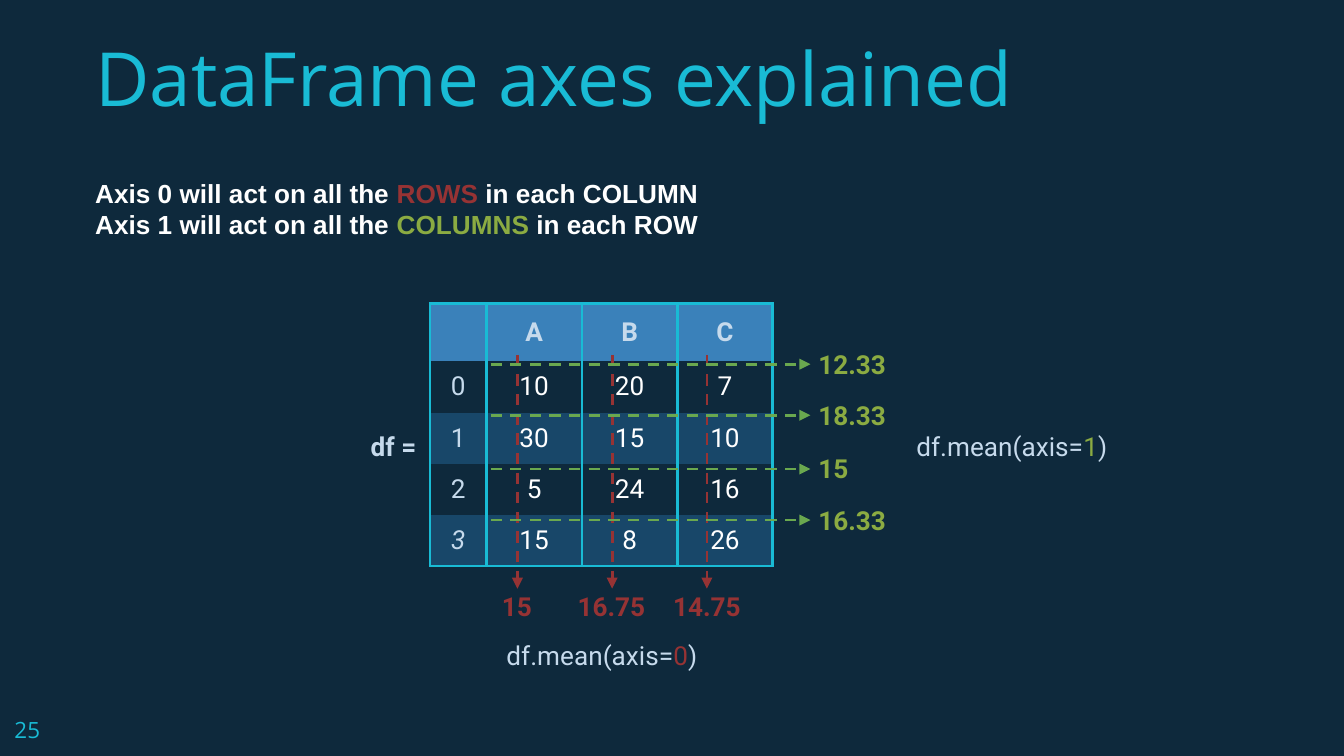
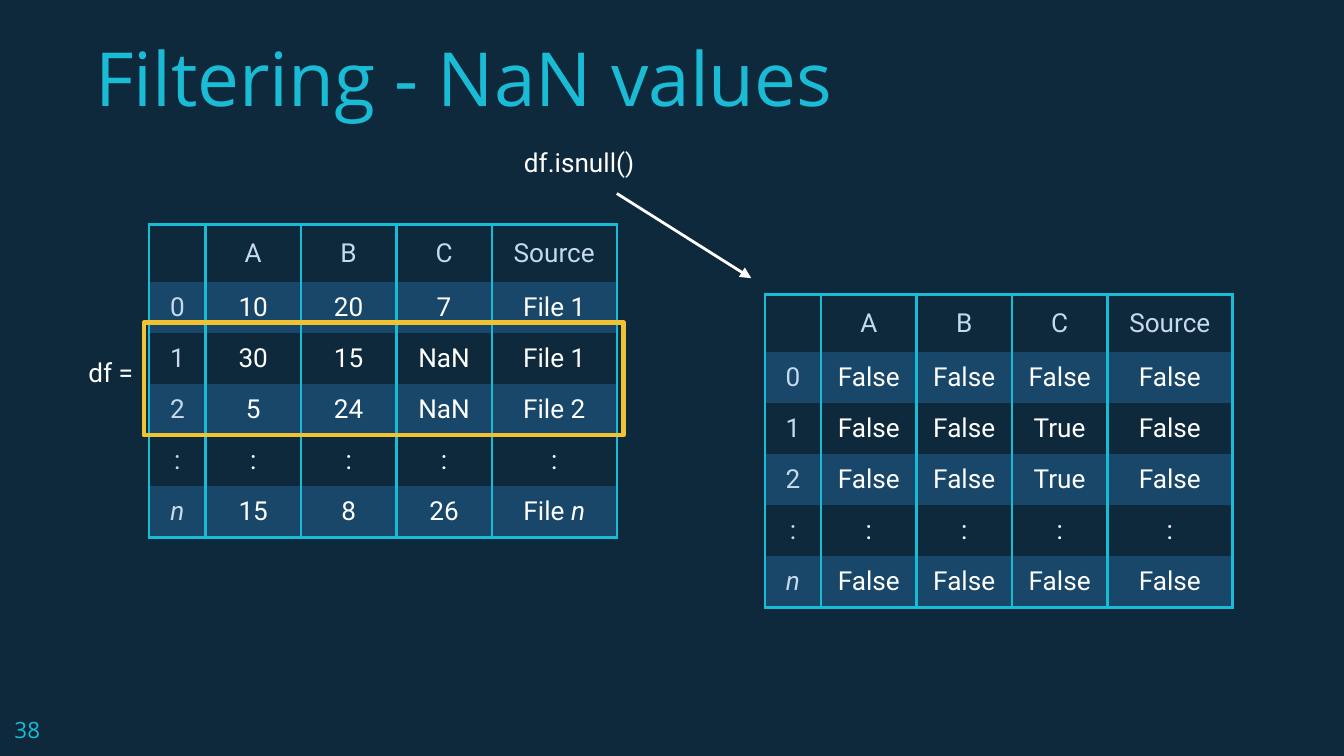
from lxml import etree
from pptx import Presentation
from pptx.dml.color import RGBColor
from pptx.enum import dml, shapes, text
from pptx.oxml import ns
from pptx.util import Inches, Pt

NAVY = RGBColor(0x0E, 0x29, 0x3C)
BAND = RGBColor(0x18, 0x47, 0x69)
BLUE = RGBColor(0x3A, 0x81, 0xBA)
CYAN = RGBColor(0x19, 0xBB, 0xD5)
PALE = RGBColor(0xC6, 0xDA, 0xEC)
WHITE = RGBColor(0xFF, 0xFF, 0xFF)
RED = RGBColor(0x96, 0x33, 0x34)
LIME = RGBColor(0x8B, 0xAB, 0x42)
GREEN = RGBColor(0x6A, 0xA8, 0x4F)
GOLD = RGBColor(0xF1, 0xC2, 0x32)

LEFT, MID = text.PP_ALIGN.LEFT, text.PP_ALIGN.CENTER
TOP, CENTRE, BASE = (text.MSO_ANCHOR.TOP, text.MSO_ANCHOR.MIDDLE,
                     text.MSO_ANCHOR.BOTTOM)
NO_STYLE = "{2D5ABB26-0587-4C30-8999-92F81FD0307C}"
COLS = [0.42, 0.71, 0.71, 0.71, 0.93]
HEAD_H, ROW_H = 0.43, 0.38
SLANT = {"italic": True}
COLON = [":"] * 5


def node(parent, tag, **attrs):
    return etree.SubElement(parent, ns.qn(tag), **attrs)


# Text: a paragraph is a string or a list of strings and (string, format) pairs
def write(frame, paras, size=14, font="Roboto", color=WHITE, bold=False,
          italic=False, align=LEFT):
    for i, para in enumerate(paras):
        p = frame.paragraphs[0] if i == 0 else frame.add_paragraph()
        p.alignment = align
        if not para:
            p._p.get_or_add_endParaRPr().set("sz", str(size * 100))
            continue
        for part in [para] if isinstance(para, str) else para:
            words, own = (part, {}) if isinstance(part, str) else part
            run = p.add_run()
            run.text = words
            run.font.size, run.font.name = Pt(size), font
            run.font.bold = bold
            run.font.italic = own.get("italic", italic)
            run.font.color.rgb = own.get("color", color)


def label(slide, box, *paras, anchor=TOP, **form):
    frame = slide.shapes.add_textbox(*map(Inches, box)).text_frame
    frame.word_wrap = True
    frame.vertical_anchor = anchor
    frame.margin_left = frame.margin_right = Inches(0.1)
    frame.margin_top = frame.margin_bottom = Inches(0.1)
    write(frame, paras, **form)


def arrow(slide, start, end, color, dash=False):
    line = slide.shapes.add_connector(
        shapes.MSO_CONNECTOR.STRAIGHT, *map(Inches, start + end))
    line.line.color.rgb = color
    line.line.width = Pt(1.5)
    if dash:
        line.line.dash_style = dml.MSO_LINE.DASH
    node(line.line._get_or_add_ln(), "a:tailEnd", type="triangle")
    node(line._element.spPr, "a:effectLst")


# Table: outer frame and column rules, no rules between rows
def edge(cell, side):
    ln = node(cell._tc.get_or_add_tcPr(), "a:ln" + side, w=str(Pt(1.5)))
    node(node(ln, "a:solidFill"), "a:srgbClr", val=str(CYAN))


def grid(slide, left, top, rows, head=NAVY, odd=BAND, even=NAVY, strong=False):
    wide = COLS[:len(rows[0])]
    high = [HEAD_H] + [ROW_H] * (len(rows) - 1)
    table = slide.shapes.add_table(
        len(rows), len(wide), Inches(left), Inches(top),
        Inches(sum(wide)), Inches(sum(high))).table
    table._tbl.tblPr.find(ns.qn("a:tableStyleId")).text = NO_STYLE
    table.first_row = table.horz_banding = False
    for c, width in enumerate(wide):
        table.columns[c].width = Inches(width)
    for r, row in enumerate(rows):
        table.rows[r].height = Inches(high[r])
        fill = head if r == 0 else odd if r % 2 else even
        for c, value in enumerate(row):
            cell = table.cell(r, c)
            sides = "LR" + "T" * (r == 0) + "B" * (r == len(rows) - 1)
            for side in sides:
                edge(cell, side)
            cell.fill.solid()
            cell.fill.fore_color.rgb = fill
            cell.vertical_anchor = CENTRE
            cell.margin_left = cell.margin_right = Inches(0.1)
            cell.margin_top = cell.margin_bottom = Inches(0.07)
            write(cell.text_frame, [value], align=MID,
                  color=WHITE if r and c else PALE,
                  bold=strong and r == 0)


# Shared background, page number and title
def page(deck, number, title):
    slide = deck.slides.add_slide(deck.slide_layouts[6])
    slide.background.fill.solid()
    slide.background.fill.fore_color.rgb = NAVY
    label(slide, (0.01, 5.23, 0.6, 0.39), str(number), size=12,
          font="Open Sans", color=CYAN)
    label(slide, (0.61, 0.29, 8.71, 0.71), title, size=40,
          font="Open Sans", color=CYAN, anchor=BASE)
    return slide


def axes(deck):
    slide = page(deck, 25, "DataFrame axes explained")
    red, lime = {"color": RED}, {"color": LIME}
    grid(slide, 3.2, 2.26, [
        ["", "A", "B", "C"],
        ["0", "10", "20", "7"],
        ["1", "30", "15", "10"],
        ["2", "5", "24", "16"],
        [[("3", SLANT)], "15", "8", "26"],
    ], head=BLUE, odd=NAVY, even=BAND, strong=True)
    label(slide, (0.61, 1.22, 5.01, 0.71),
          ["Axis 0 will act on all the ", ("ROWS ", red), "in each COLUMN"],
          ["Axis 1 will act on all the ", ("COLUMNS ", lime), "in each ROW"],
          font="Arial", bold=True)
    label(slide, (2.66, 3.1, 0.67, 0.51), "df = ", color=PALE, bold=True)

    # Means down the columns
    for i, (mean, left, width) in enumerate([
            ("15", 3.62, 0.45), ("16.75", 4.15, 0.8), ("14.75", 4.86, 0.8)]):
        x = 3.85 + i * 0.705
        arrow(slide, (x, 2.64), (x, 4.38), RED, dash=True)
        label(slide, (left, 4.38, width, 0.26), mean, color=RED, bold=True,
              align=MID, anchor=CENTRE)
    label(slide, (3.67, 4.66, 1.78, 0.39),
          ["df.mean(axis=", ("0", red), ") "], color=PALE)

    # Means across the rows
    for mean, y, top, width in [
            ("12.33", 2.71, 2.58, 0.73), ("18.33", 3.09, 2.96, 0.76),
            ("15", 3.49, 3.35, 0.67), ("16.33", 3.87, 3.74, 0.76)]:
        arrow(slide, (3.65, y), (6.03, y), GREEN, dash=True)
        label(slide, (5.99, top, width, 0.26), mean, color=LIME, bold=True,
              anchor=CENTRE)
    label(slide, (6.72, 3.1, 1.89, 0.51),
          ["df.mean(axis=", ("1", lime), ")"], color=PALE)


def nulls(deck):
    slide = page(deck, 38, "Filtering - NaN values")
    names = ["", "A", "B", "C", "Source"]
    last = [("n", SLANT)]
    grid(slide, 1.11, 1.67, [
        names,
        ["0", "10", "20", "7", "File 1"],
        ["1", "30", "15", "NaN", "File 1"],
        ["2", "5", "24", "NaN", "File 2"],
        COLON,
        [last, "15", "8", "26", ["File "] + last],
    ])
    label(slide, (0.56, 2.55, 1.64, 0.89), "df = ")

    # Frame round the rows with gaps
    box = slide.shapes.add_shape(shapes.MSO_SHAPE.RECTANGLE,
                                 *map(Inches, (1.07, 2.4, 3.57, 0.84)))
    box.shadow.inherit = False
    box.fill.background()
    box.line.color.rgb = GOLD
    box.line.width = Pt(2.25)

    # Null test and its result
    label(slide, (1.58, 0.99, 5.46, 0.53), "df.isnull()", align=MID)
    arrow(slide, (4.59, 1.44), (5.59, 2.07), WHITE)
    full = ["False"] * 4
    gap = ["False", "False", "True", "False"]
    grid(slide, 5.69, 2.19, [names, ["0"] + full, ["1"] + gap, ["2"] + gap,
                             COLON, [last] + full])


def main():
    deck = Presentation()
    # 16:9 page
    deck.slide_width, deck.slide_height = Inches(10), Inches(10 * 9 / 16)
    axes(deck)
    nulls(deck)
    deck.save("out.pptx")


main()
